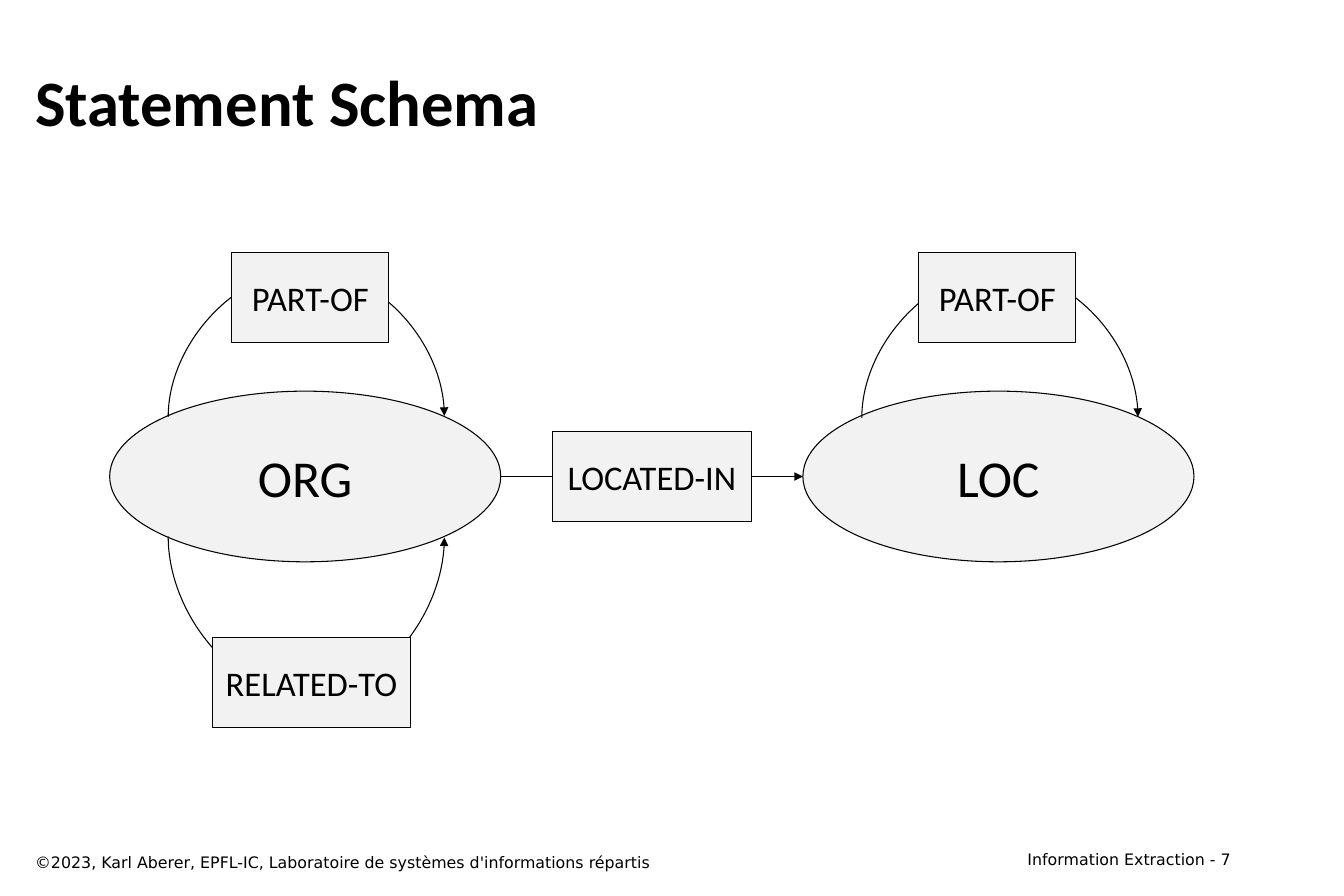
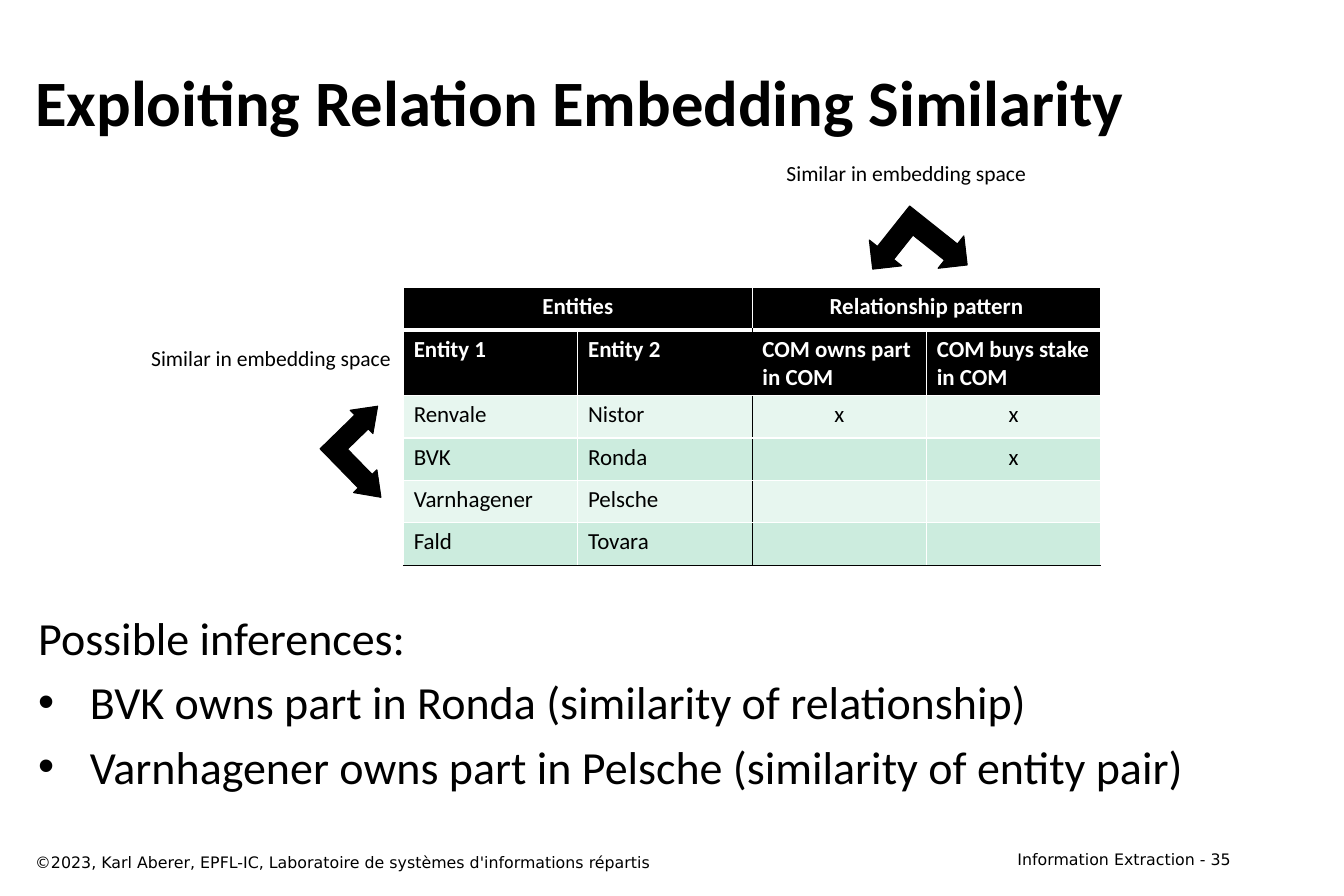
from lxml import etree
from pptx import Presentation
from pptx.dml.color import RGBColor
from pptx.enum.shapes import MSO_CONNECTOR, MSO_SHAPE
from pptx.enum.text import MSO_ANCHOR, PP_ALIGN
from pptx.oxml.ns import qn
from pptx.util import Emu, Inches, Pt

LEFT, CENTER, RIGHT = PP_ALIGN.LEFT, PP_ALIGN.CENTER, PP_ALIGN.RIGHT
TOP, MIDDLE = MSO_ANCHOR.TOP, MSO_ANCHOR.MIDDLE
STRAIGHT, CURVE = MSO_CONNECTOR.STRAIGHT, MSO_CONNECTOR.CURVE
ELLIPSE, RECTANGLE, ELBOW_ARROW = MSO_SHAPE.OVAL, MSO_SHAPE.RECTANGLE, MSO_SHAPE.LEFT_UP_ARROW

BLACK, WHITE, GREY = "000000", "FFFFFF", "F2F2F2"
BAND_COLOURS = ["E7F6EF", "CCECDE"]
WIDE_MARGINS = {"margin_left": Inches(0.12), "margin_right": Inches(0.12),
                "margin_top": Inches(0.06), "margin_bottom": Inches(0.06)}
TITLE_FONT = {"name": "Calibri", "size": Pt(45), "bold": True}
FOOTER_FONT = {"name": "DejaVu Sans", "size": Pt(11)}
ENTITY_FONT = {"name": "Calibri", "size": Pt(36)}
RELATION_FONT = {"name": "Calibri", "size": Pt(24)}
CAPTION_FONT = {"name": "Calibri", "size": Pt(15)}
BODY_FONT = {"name": "Calibri", "size": Pt(32)}
COPYRIGHT = "©2023, Karl Aberer, EPFL-IC, Laboratoire de systèmes d'informations répartis"

presentation = Presentation()
presentation.slide_width = Inches(12.99)
presentation.slide_height = Inches(8.66)


def place(*shares):
    """Turn alternating horizontal and vertical percentages into lengths."""
    sides = presentation.slide_width, presentation.slide_height
    return [Emu(int(sides[i % 2] * share / 100)) for i, share in enumerate(shares)]


def write(frame, lines, font, alignment=LEFT, colour=BLACK, **frame_format):
    """Fill a text frame with one paragraph a line."""
    for name, value in frame_format.items():
        setattr(frame, name, value)
    for number, line in enumerate(lines):
        paragraph = frame.paragraphs[0] if number == 0 else frame.add_paragraph()
        paragraph.alignment = alignment
        run = paragraph.add_run()
        run.text = line
        run.font.color.rgb = RGBColor.from_string(colour)
        for name, value in font.items():
            setattr(run.font, name, value)


# Titles and footers of both slides
slides = []
for title, page in [("Statement Schema", 7),
                    ("Exploiting Relation Embedding Similarity", 35)]:
    slide = presentation.slides.add_slide(presentation.slide_layouts[5])
    slides.append(slide)
    heading = slide.shapes.title
    heading.left, heading.top, heading.width, heading.height = place(1.69, 4.5, 90.84, 13.39)
    write(heading.text_frame, [title], TITLE_FONT, vertical_anchor=MIDDLE,
          word_wrap=True, **WIDE_MARGINS)
    for text, area, alignment in [
            (f"Information Extraction - {page}", (71.67, 94.11, 20.86, 3.35), RIGHT),
            (COPYRIGHT, (1.69, 94.46, 64.2, 3.35), LEFT)]:
        footer = slide.shapes.add_textbox(*place(*area))
        write(footer.text_frame, [text], FOOTER_FONT, alignment,
              word_wrap=True, **WIDE_MARGINS)
schema_slide, similarity_slide = slides

# Schema: connectors as kind, begin, end, rotation and bulge in inches
MIDDLE_ROW = 53.18
CURVE_SPAN, CURVE_DEPTH = presentation.slide_width * 0.2055, Inches(0.01)
connectors = [(STRAIGHT, place(37.26, MIDDLE_ROW, 59.74, MIDDLE_ROW), 0, 0)]
for column, row, rotation, bulge in [(22.79, 46.48, 90, 1.45), (22.79, 59.93, 270, 1.57),
                                     (74.4, 46.59, 90, 1.45)]:
    x, y = place(column, row)
    left, right = int(x - CURVE_DEPTH / 2), int(x + CURVE_DEPTH / 2)
    ends = [int(y - CURVE_SPAN / 2), int(y + CURVE_SPAN / 2)]
    if rotation == 90:
        ends.reverse()
    connectors.append((CURVE, (right, ends[0], left, ends[1]), rotation, bulge))

# Schema: entities, then connectors, then relations on top
nodes = [(ELLIPSE, "ORG", 22.71, MIDDLE_ROW, 29.1, 19.05, ENTITY_FONT),
         (ELLIPSE, "LOC", 74.29, MIDDLE_ROW, 29.1, 19.05, ENTITY_FONT),
         (RECTANGLE, "PART-OF", 23.09, 33.2, 11.7, 10.05, RELATION_FONT),
         (RECTANGLE, "RELATED-TO", 23.17, 76.15, 14.78, 10.05, RELATION_FONT),
         (RECTANGLE, "LOCATED-IN", 48.5, MIDDLE_ROW, 14.78, 10.05, RELATION_FONT),
         (RECTANGLE, "PART-OF", 74.21, 33.2, 11.7, 10.05, RELATION_FONT)]
for number, (kind, label, column, row, width, height, font) in enumerate(nodes):
    if number == 2:
        for line_kind, points, rotation, bulge in connectors:
            connector = schema_slide.shapes.add_connector(line_kind, *points)
            connector.line.color.rgb = RGBColor.from_string(BLACK)
            connector.line.width = Pt(0.75)
            properties = connector._element.spPr
            etree.SubElement(connector.line._get_or_add_ln(), qn("a:tailEnd"), type="triangle")
            etree.SubElement(properties, qn("a:effectLst"))
            if line_kind == CURVE:
                properties.find(qn("a:xfrm")).set("rot", str(rotation * 60000))
                guides = properties.find(qn("a:prstGeom")).get_or_add_avLst()
                share = int(Inches(bulge) / CURVE_DEPTH * 100000)
                etree.SubElement(guides, qn("a:gd"), name="adj1", fmla=f"val {share}")
    area = place(column - width / 2, row - height / 2, width, height)
    node = schema_slide.shapes.add_shape(kind, *area)
    node.shadow.inherit = False
    node.fill.solid()
    node.fill.fore_color.rgb = RGBColor.from_string(GREY)
    node.line.color.rgb = RGBColor.from_string(BLACK)
    node.line.width = Pt(0.75)
    write(node.text_frame, [label], font, CENTER, vertical_anchor=MIDDLE, word_wrap=False)

# Similarity: table of entity pairs and relationship patterns
rows = [["Entities", "", "Relationship pattern", ""],
        ["Entity 1", "Entity 2", "COM owns part in COM", "COM buys stake in COM"],
        ["Renvale", "Nistor", "x", "x"],
        ["BVK", "Ronda", "", "x"],
        ["Varnhagener", "Pelsche", "", ""],
        ["Fald", "Tovara", "", ""]]
last_row = len(rows) - 1
table = similarity_slide.shapes.add_table(
    len(rows), 4, *place(30.02, 32.1, 51.89, 28.52)).table
table.first_row = table.horz_banding = False
for row_number, texts in enumerate(rows):
    table.rows[row_number].height = Inches(0.41)
    header = row_number < 2
    for column_number, text in enumerate(texts):
        cell = table.cell(row_number, column_number)
        cell.fill.solid()
        cell.fill.fore_color.rgb = RGBColor.from_string(
            BLACK if header else BAND_COLOURS[row_number % 2])
        centered = row_number == 0 or text == "x"
        if text:
            write(cell.text_frame, [text],
                  {"name": "Calibri", "size": Pt(16), "bold": header},
                  CENTER if centered else LEFT, WHITE if header else BLACK)
        divided = row_number > 0
        borders = {
            "a:lnL": (BLACK if divided and column_number == 2 else WHITE, 1),
            "a:lnR": (BLACK if divided and column_number == 1 else WHITE, 1),
            "a:lnT": (WHITE, 3 if row_number == 1 else 1),
            "a:lnB": (BLACK if row_number == last_row else WHITE, 3 if row_number == 0 else 1)}
        cell_properties = cell._tc.get_or_add_tcPr()
        for position, (tag, (colour, width)) in enumerate(borders.items()):
            border = etree.Element(qn(tag), w=str(Pt(width)))
            fill = etree.SubElement(border, qn("a:solidFill"))
            etree.SubElement(fill, qn("a:srgbClr"), val=colour)
            cell_properties.insert(position, border)
for column_number in (0, 2):
    table.cell(0, column_number).merge(table.cell(0, column_number + 1))

# Similarity: double arrows and their captions
for arrow_area, rotation, adjustments, caption_area in [
        ((64.9, 23.56, 6.85, 9.24), 218.5, (0.25, 0.25, 0.25), (57.66, 17.32, 19.55, 4.04)),
        ((24.48, 45.73, 5.77, 9.35), 135.7, (0.25, 0.21, 0.29), (10.39, 37.88, 19.55, 4.04))]:
    arrow = similarity_slide.shapes.add_shape(ELBOW_ARROW, *place(*arrow_area))
    arrow.rotation = rotation
    for number, value in enumerate(adjustments):
        arrow.adjustments[number] = value
    arrow.shadow.inherit = False
    arrow.fill.solid()
    arrow.fill.fore_color.rgb = RGBColor.from_string(BLACK)
    arrow.line.color.rgb = RGBColor.from_string(BLACK)
    arrow.line.width = Pt(0.75)
    caption = similarity_slide.shapes.add_textbox(*place(*caption_area))
    write(caption.text_frame, ["Similar in embedding space"], CAPTION_FONT, CENTER,
          word_wrap=False)

# Similarity: inferences, bulleted after the first line
inferences = similarity_slide.shapes.add_textbox(*place(1.92, 67.32, 90.84, 25.64))
write(inferences.text_frame,
      ["Possible inferences:",
       "BVK owns part in Ronda (similarity of relationship)",
       "Varnhagener owns part in Pelsche (similarity of entity pair)"],
      BODY_FONT, vertical_anchor=TOP, word_wrap=True, **WIDE_MARGINS)
for paragraph in inferences.text_frame.paragraphs[1:]:
    paragraph.space_before = Pt(6.4)
    paragraph_properties = paragraph._p.get_or_add_pPr()
    paragraph_properties.set("marL", str(Inches(0.5)))
    paragraph_properties.set("indent", str(-Inches(0.5)))
    etree.SubElement(paragraph_properties, qn("a:buFont"), typeface="Arial")
    etree.SubElement(paragraph_properties, qn("a:buChar"), char="•")

presentation.save("out.pptx")
